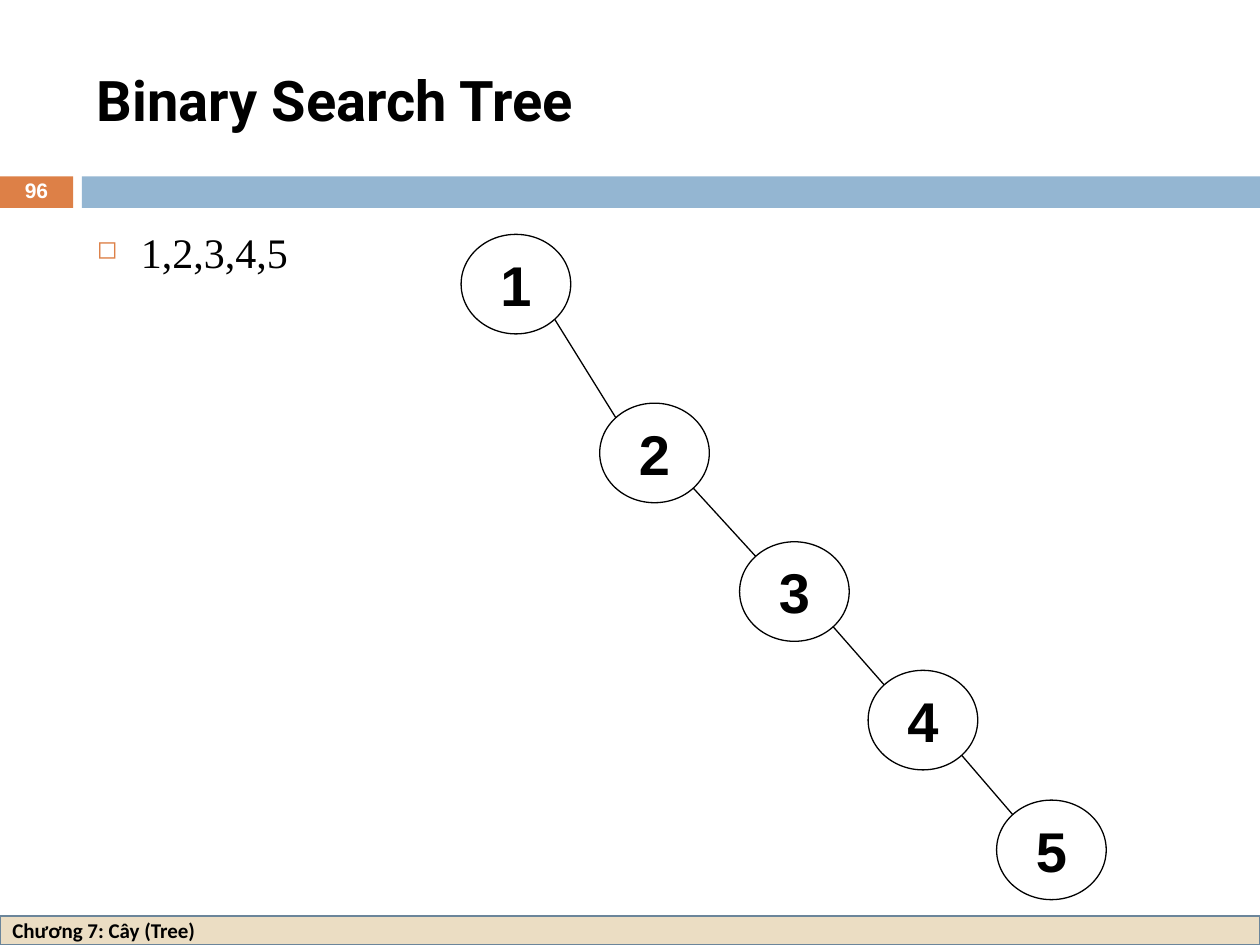
from math import sqrt

from lxml import etree
from pptx import Presentation
from pptx.dml.color import RGBColor
from pptx.enum.shapes import MSO_CONNECTOR, MSO_SHAPE
from pptx.enum.text import MSO_ANCHOR, PP_ALIGN
from pptx.oxml.ns import qn
from pptx.util import Inches, Pt


def color(hex_string):
    return RGBColor.from_string(hex_string)


def write(box, text, align=PP_ALIGN.LEFT, anchor=MSO_ANCHOR.MIDDLE, wrap=True, **font_values):
    """Put one paragraph in the box and return it."""
    frame = box.text_frame
    frame.word_wrap = wrap
    frame.vertical_anchor = anchor
    para = frame.paragraphs[0]
    para.alignment = align
    span = para.add_run()
    span.text = text
    font_color = font_values.pop("color", "000000")
    span.font.color.rgb = color(font_color)
    for name, value in font_values.items():
        setattr(span.font, name, value)
    return para


deck = Presentation()
deck.slide_width, deck.slide_height = Inches(10), Inches(7.5)
page = deck.slides.add_slide(deck.slide_layouts[6])

# Header bars and footer
bars = [
    (0, 1.4, 0.58, 0.25, "DD8047"),
    (0.65, 1.4, 9.35, 0.25, "94B6D2"),
    (0, 7.27, 10, 0.23, "EBDDC3"),
]
for left, top, width, height, fill in bars:
    bar = page.shapes.add_shape(
        MSO_SHAPE.RECTANGLE, Inches(left), Inches(top), Inches(width), Inches(height))
    bar.shadow.inherit = False
    bar.fill.solid()
    bar.fill.fore_color.rgb = color(fill)
    bar.line.fill.background()
footer = bar
footer.line.color.rgb = color("6B859A")
footer.line.width = Pt(1.5)
write(footer, "Chương 7: Cây (Tree)", name="Calibri", size=Pt(12), bold=True)

# Title and page number
title = page.shapes.add_textbox(Inches(0.67), Inches(0.25), Inches(8.92), Inches(1.08))
write(title, "Binary Search Tree", name="Roboto", size=Pt(32), bold=True)

number = page.shapes.add_textbox(Inches(0), Inches(1.39), Inches(0.58), Inches(0.27))
number_para = write(number, "96", PP_ALIGN.CENTER, name="Arial", size=Pt(12), bold=True,
                    color="FFFFFF")
number_para.line_spacing = 0.8

# Bulleted list of inserted keys
body = page.shapes.add_textbox(Inches(0.67), Inches(1.75), Inches(8.92), Inches(4.92))
keys_para = write(body, "1,2,3,4,5", anchor=MSO_ANCHOR.TOP, name="Times New Roman", size=Pt(24))
properties = keys_para._p.get_or_add_pPr()
properties.set("marL", str(Inches(0.35)))
properties.set("indent", str(Inches(-0.35)))
bullet_color = etree.SubElement(properties, qn("a:buClr"))
etree.SubElement(bullet_color, qn("a:srgbClr"), val="DD8047")
etree.SubElement(properties, qn("a:buSzPct"), val="60000")
etree.SubElement(properties, qn("a:buChar"), char="◻")

# Tree nodes
node_width, node_height = 0.87, 0.79
nodes = [(3.66, 1.86), (4.76, 3.2), (5.87, 4.3), (6.89, 5.32), (7.91, 6.35)]
for key, (left, top) in enumerate(nodes, start=1):
    node = page.shapes.add_shape(
        MSO_SHAPE.OVAL, Inches(left), Inches(top), Inches(node_width), Inches(node_height))
    node.shadow.inherit = False
    node.fill.background()
    node.line.color.rgb = color("000000")
    node.line.width = Pt(0.75)
    write(node, str(key), PP_ALIGN.CENTER, wrap=False, name="Arial", size=Pt(32), bold=True)

# Edges run from the lower right of a parent to the upper left of its child
near, far = (1 - sqrt(0.5)) / 2, (1 + sqrt(0.5)) / 2
for (parent_left, parent_top), (child_left, child_top) in zip(nodes, nodes[1:]):
    edge = page.shapes.add_connector(
        MSO_CONNECTOR.STRAIGHT,
        Inches(parent_left + far * node_width), Inches(parent_top + far * node_height),
        Inches(child_left + near * node_width), Inches(child_top + near * node_height))
    edge.line.color.rgb = color("000000")
    edge.line.width = Pt(0.75)
    etree.SubElement(edge._element.spPr, qn("a:effectLst"))

deck.save("out.pptx")
